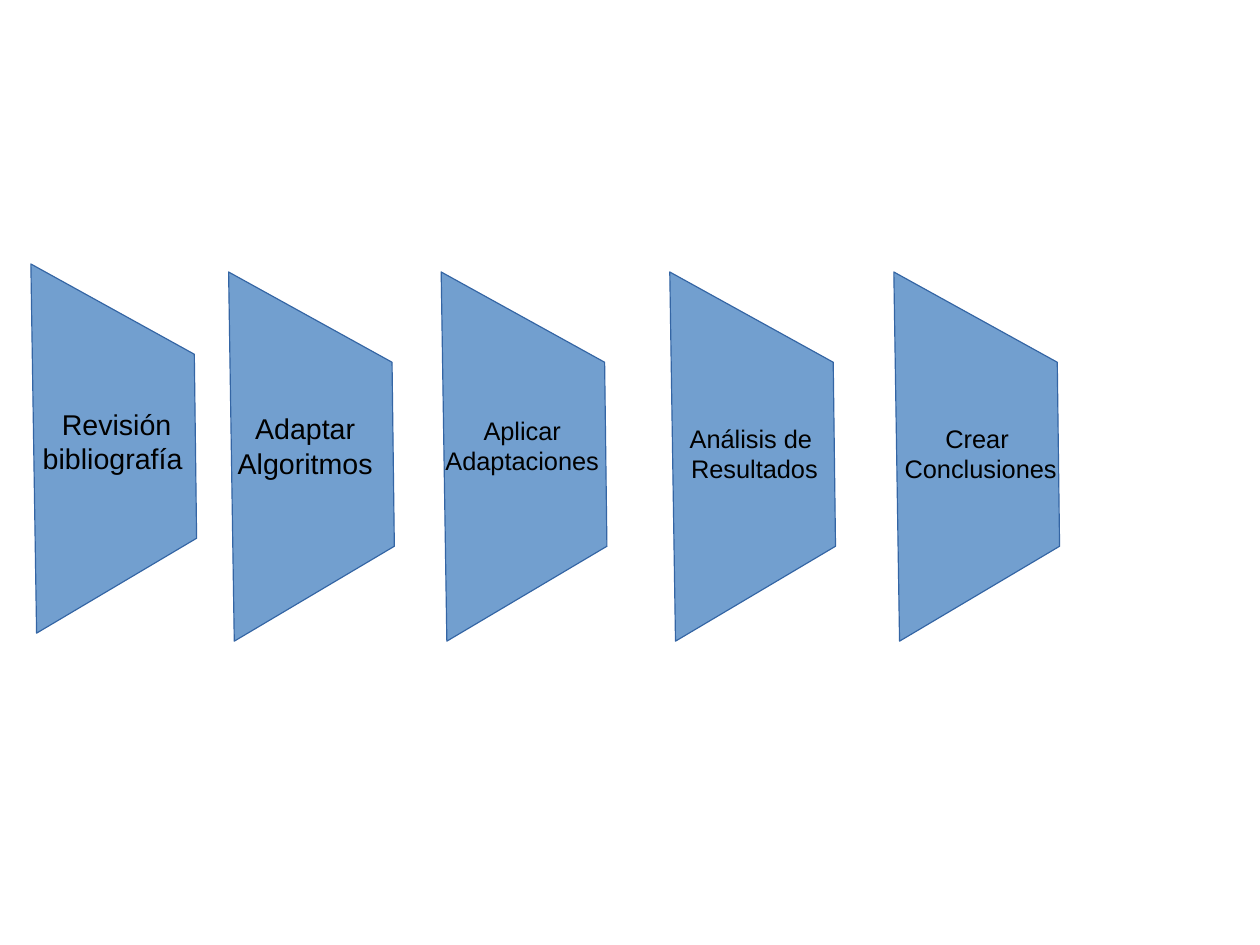
from pptx import Presentation
from pptx.dml.color import RGBColor
from pptx.enum.text import MSO_ANCHOR, PP_ALIGN
from pptx.util import Cm, Inches, Pt

BLANK_LAYOUT = 6
LABEL_WIDTH = 2.2
# Corners of a stage, measured from its top left corner
STAGE_CORNERS = [(0, 0), (1.43, 0.79), (1.45, 2.4), (0.05, 3.23)]

# Stage left and top, label left, top and height, text size, label text
STAGES = [
    (0.27, 2.31, -0.08, 3.51, 0.66, 18, "Revisión bibliografía "),
    (2.0, 2.38, 1.57, 3.55, 0.66, 18, "Adaptar Algoritmos"),
    (3.86, 2.38, 3.5, 3.58, 0.6, 16, "Aplicar \nAdaptaciones "),
    (5.86, 2.38, 5.47, 3.65, 0.6, 16, "Análisis de\n Resultados"),
    (7.82, 2.38, 7.48, 3.65, 0.6, 16, "Crear \nConclusiones"),
]


def color(hex_code):
    return RGBColor.from_string(hex_code)


def add_stage(page, left, top):
    points = [(Inches(left + x), Inches(top + y)) for x, y in STAGE_CORNERS]
    builder = page.shapes.build_freeform(*points[0])
    builder.add_line_segments(points[1:], close=True)
    stage = builder.convert_to_shape()
    stage.shadow.inherit = False
    stage.fill.solid()
    stage.fill.fore_color.rgb = color("729FCF")
    stage.line.color.rgb = color("3465A4")
    stage.line.width = Pt(0)


def add_label(page, text, left, top, height, size, font="Arial", ink="000000"):
    box = page.shapes.add_textbox(Inches(left), Inches(top),
                                  Inches(LABEL_WIDTH), Inches(height))
    frame = box.text_frame
    frame.word_wrap = True
    frame.vertical_anchor = MSO_ANCHOR.TOP
    frame.text = text
    for para in frame.paragraphs:
        para.alignment = PP_ALIGN.CENTER
        for span in para.runs:
            span.font.name = font
            span.font.size = Pt(size)
            span.font.color.rgb = color(ink)


def main():
    deck = Presentation()
    deck.slide_width = Cm(28)
    deck.slide_height = Cm(21)
    page = deck.slides.add_slide(deck.slide_layouts[BLANK_LAYOUT])
    for left, top, label_left, label_top, height, size, text in STAGES:
        add_stage(page, left, top)
        add_label(page, text, label_left, label_top, height, size)
    deck.save("out.pptx")


if __name__ == "__main__":
    main()
